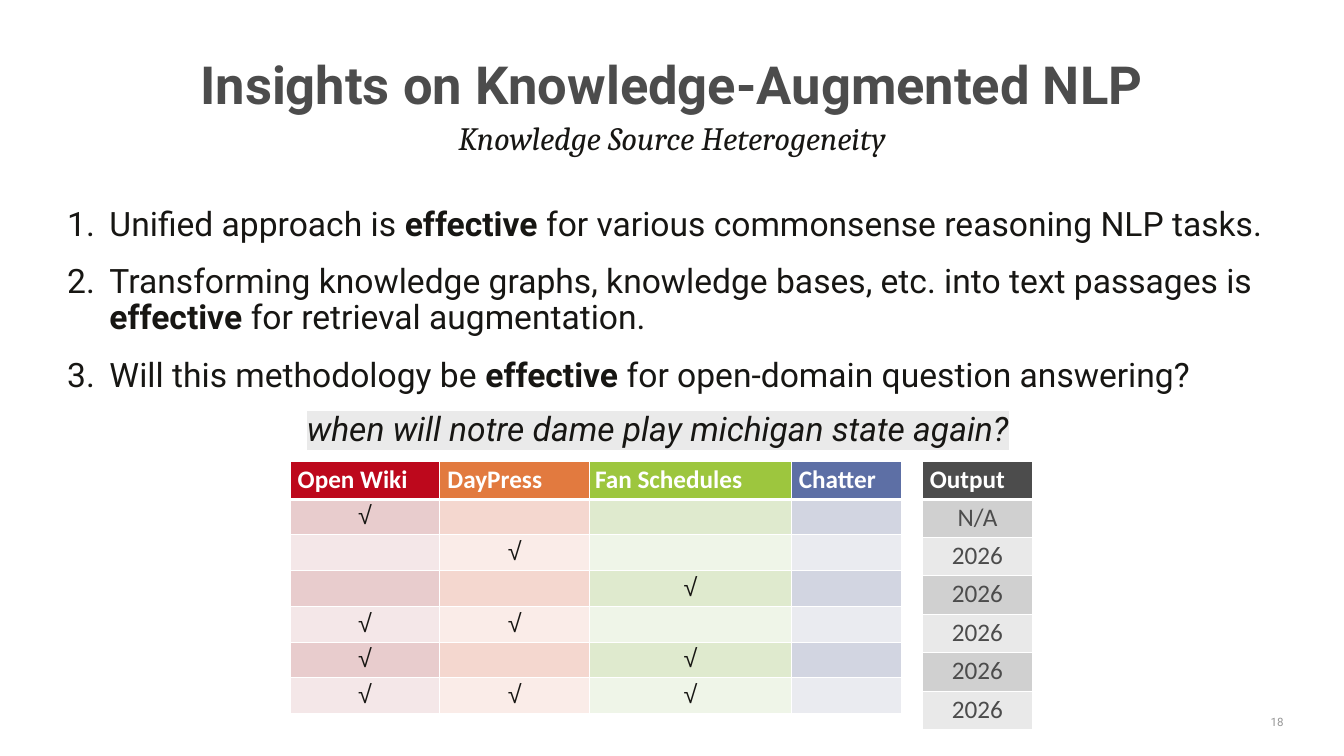
"""Builds the slide on knowledge source heterogeneity."""
from lxml import etree
from pptx import Presentation, util as u
from pptx.dml.color import RGBColor
from pptx.enum import text
from pptx.oxml.ns import qn

COLORS = {
    "white": "FFFFFF", "ink": "171613", "heading": "4C4C4C",
    "muted": "969696", "highlight": "EAEAEA",
}
LEFT, CENTER, RIGHT = text.PP_ALIGN.LEFT, text.PP_ALIGN.CENTER, text.PP_ALIGN.RIGHT
MIDDLE = text.MSO_ANCHOR.MIDDLE
CHECK = "√"
TABLE_TOP = 15.52
HEADER_HEIGHT = 1.25
FORMATS = {
    "title": {"name": "Roboto", "size": u.Pt(50), "bold": True},
    "subtitle": {"name": "Cambria", "size": u.Pt(31), "italic": True},
    "body": {"name": "Roboto", "size": u.Pt(32)},
    "question": {"name": "Roboto", "size": u.Pt(32), "italic": True},
    "number": {"name": "Roboto", "size": u.Pt(11)},
    "header": {"name": "Calibri", "size": u.Pt(24), "bold": True},
    "check": {"name": "Arial", "size": u.Pt(24), "bold": False},
    "answer": {"name": "Calibri", "size": u.Pt(24), "bold": False},
}


class Deck:
    """Holds the style and the current slide."""

    def __init__(self, width, height):
        self.presentation = Presentation()
        self.presentation.slide_width = u.Cm(width)
        self.presentation.slide_height = u.Cm(height)
        self.slide = self.presentation.slides.add_slide(self.presentation.slide_layouts[5])

    def style(self, font, kind, color):
        """Applies a named format and a colour to a font."""
        for key, value in FORMATS[kind].items():
            setattr(font, key, value)
        font.color.rgb = RGBColor.from_string(color)

    def frame(self, shape, insets=(0.41, 0.2), anchor=text.MSO_ANCHOR.TOP):
        """Prepares the text frame of a shape."""
        side, edge = map(u.Cm, insets)
        values = {
            "word_wrap": True, "auto_size": text.MSO_AUTO_SIZE.NONE,
            "vertical_anchor": anchor, "margin_left": side, "margin_right": side,
            "margin_top": edge, "margin_bottom": edge,
        }
        for key, value in values.items():
            setattr(shape.text_frame, key, value)
        return shape.text_frame

    def add_words(self, paragraph, words, kind, color, align=LEFT, spacing=None):
        """Adds a formatted run to a paragraph."""
        paragraph.alignment = align
        if spacing:
            paragraph.line_spacing = spacing
        run = paragraph.add_run()
        run.text = words
        self.style(run.font, kind, color)
        return run

    def title(self, words, box):
        """Places and fills the title placeholder."""
        heading = self.slide.shapes.title
        for key, value in zip(("left", "top", "width", "height"), box):
            setattr(heading, key, u.Cm(value))
        frame = self.frame(heading, anchor=MIDDLE)
        self.add_words(frame.paragraphs[0], words, "title", COLORS["heading"], CENTER, 0.8)

    def box(self, box, **options):
        """Adds an empty text box and returns its frame."""
        return self.frame(self.slide.shapes.add_textbox(*map(u.Cm, box)), **options)

    def line(self, words, box, kind, color, align, spacing=None, **options):
        """Adds a text box with one line."""
        frame = self.box(box, **options)
        return self.add_words(frame.paragraphs[0], words, kind, color, align, spacing)

    def highlight(self, run, color):
        """Puts a colour behind a run."""
        mark = etree.Element(qn("a:highlight"))
        etree.SubElement(mark, qn("a:srgbClr"), val=color)
        run._r.rPr.find(qn("a:latin")).addprevious(mark)

    def numbered(self, points, box):
        """Adds a numbered list whose key word is bold."""
        frame = self.box(box)
        for index, (lead, key_word, rest) in enumerate(points):
            point = frame.add_paragraph() if index else frame.paragraphs[0]
            properties = point._p.get_or_add_pPr()
            properties.set("marL", str(u.Cm(1.42)))
            properties.set("indent", str(-u.Cm(1.42)))
            etree.SubElement(properties, qn("a:buFont"), typeface="+mj-lt")
            etree.SubElement(properties, qn("a:buAutoNum"), type="arabicPeriod")
            if index:
                point.space_before = u.Pt(20)
            for words, bold in ((lead, False), (key_word, True), (rest, False)):
                run = self.add_words(point, words, "body", COLORS["ink"], spacing=0.9)
                run.font.bold = bold

    def borders(self, cell, bottom):
        """Draws white cell borders."""
        properties = cell._tc.get_or_add_tcPr()
        widths = {"lnL": 1, "lnR": 1, "lnT": 1, "lnB": bottom}
        for index, (side, width) in enumerate(widths.items()):
            edge = etree.Element(qn(f"a:{side}"), w=str(u.Pt(width)))
            fill = etree.SubElement(edge, qn("a:solidFill"))
            etree.SubElement(fill, qn("a:srgbClr"), val=COLORS["white"])
            properties.insert(index, edge)

    def column(self, header, values, left, width, row_height, fills, kind, color):
        """Adds a one-column table with a header and alternating fills."""
        head_fill, *bands = fills
        heights = [HEADER_HEIGHT] + [row_height] * len(values)
        table = self.slide.shapes.add_table(
            len(heights), 1, *map(u.Cm, (left, TABLE_TOP, width, sum(heights)))).table
        for index, (words, height) in enumerate(zip([header, *values], heights)):
            table.rows[index].height = u.Cm(height)
            cell = table.cell(index, 0)
            cell.margin_top = cell.margin_bottom = u.Cm(0.1)
            cell.fill.solid()
            fill = bands[(index - 1) % 2] if index else head_fill
            cell.fill.fore_color.rgb = RGBColor.from_string(fill)
            self.borders(cell, 1 if index else 3)
            entry = cell.text_frame.paragraphs[0]
            if not index:
                self.add_words(entry, words, "header", COLORS["white"])
            elif words:
                self.add_words(entry, words, kind, color, CENTER)


def main():
    """Builds and saves the slide."""
    deck = Deck(45.16, 25.4)
    deck.title("Insights on Knowledge-Augmented NLP", (2.26, 2.13, 40.64, 1.73))
    deck.line("Knowledge Source Heterogeneity", (2.26, 3.91, 40.64, 1.42),
              "subtitle", COLORS["ink"], CENTER, 0.9)
    deck.numbered([
        ("Unified approach is ", "effective ", "for various commonsense reasoning NLP tasks."),
        ("Transforming knowledge graphs, knowledge bases, etc. into text passages is ",
         "effective ", "for retrieval augmentation."),
        ("Will this methodology be ", "effective ", "for open-domain question answering?"),
    ], (1.85, 6.76, 41.02, 15.29))
    sources = [
        ("Fan Schedules", {3, 5, 6}, 19.74, 6.93, ("9DC63E", "DFEACE", "EFF5E8")),
        ("Open Wiki", {1, 4, 5, 6}, 9.75, 5.03, ("BD081C", "E8CCCD", "F4E7E8")),
        ("DayPress", {2, 4, 6}, 14.78, 5.03, ("E27A3F", "F4D7CF", "FAECE8")),
        ("Chatter", set(), 26.59, 3.71, ("5D6FA5", "D2D5E1", "EAEBF0")),
    ]
    for source, used, left, width, fills in sources:
        checks = [CHECK if row in used else "" for row in range(1, 7)]
        deck.column(source, checks, left, width, 1.2, fills, "check", COLORS["ink"])
    deck.column("Output", ["N/A"] + ["2026"] * 5, 30.99, 3.71, 1.29,
                (COLORS["heading"], "D0D0D0", "E9E9E9"), "answer", COLORS["heading"])
    question = deck.line("when will notre dame play michigan state again?",
                         (8.36, 13.59, 27.51, 1.63), "question", COLORS["ink"], CENTER,
                         insets=(0.25, 0.13))
    deck.highlight(question, COLORS["highlight"])
    deck.line("18", (41.99, 23.93, 1.55, 0.66), "number", COLORS["muted"], RIGHT, anchor=MIDDLE)
    deck.presentation.save("out.pptx")


if __name__ == "__main__":
    main()
